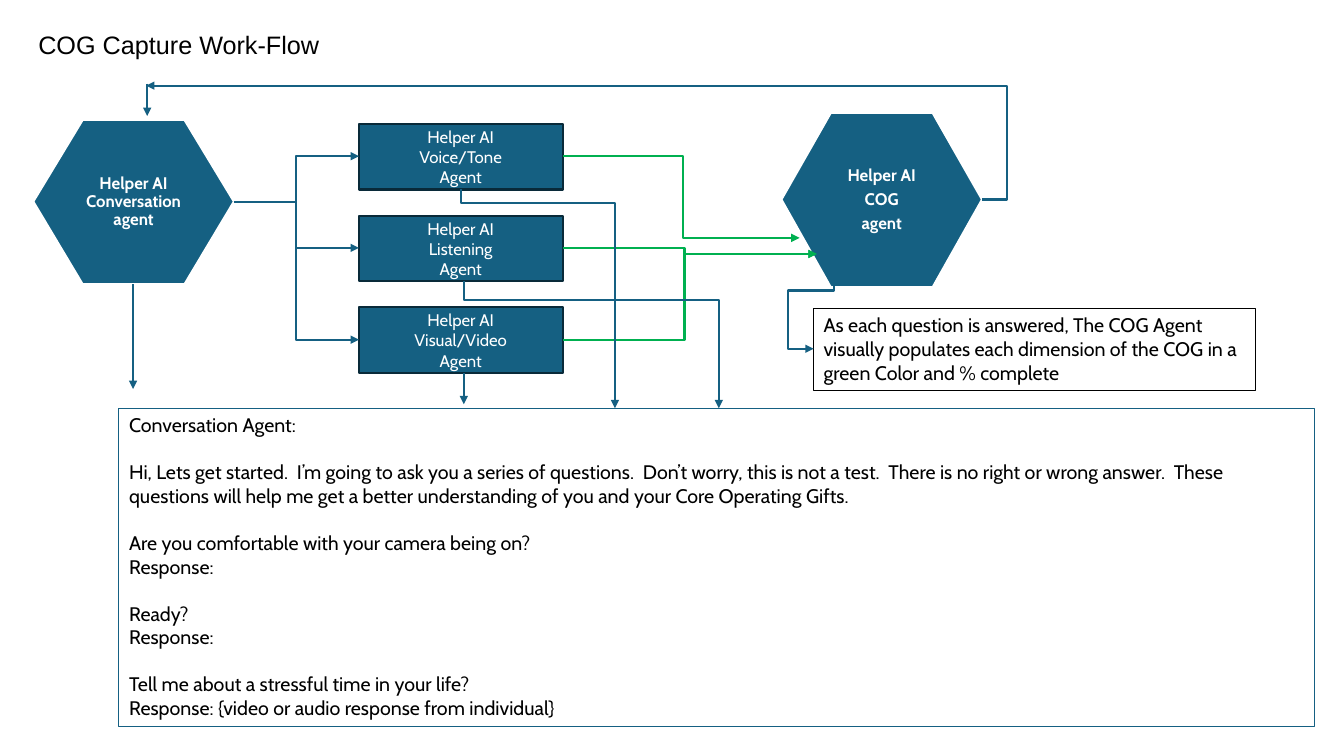
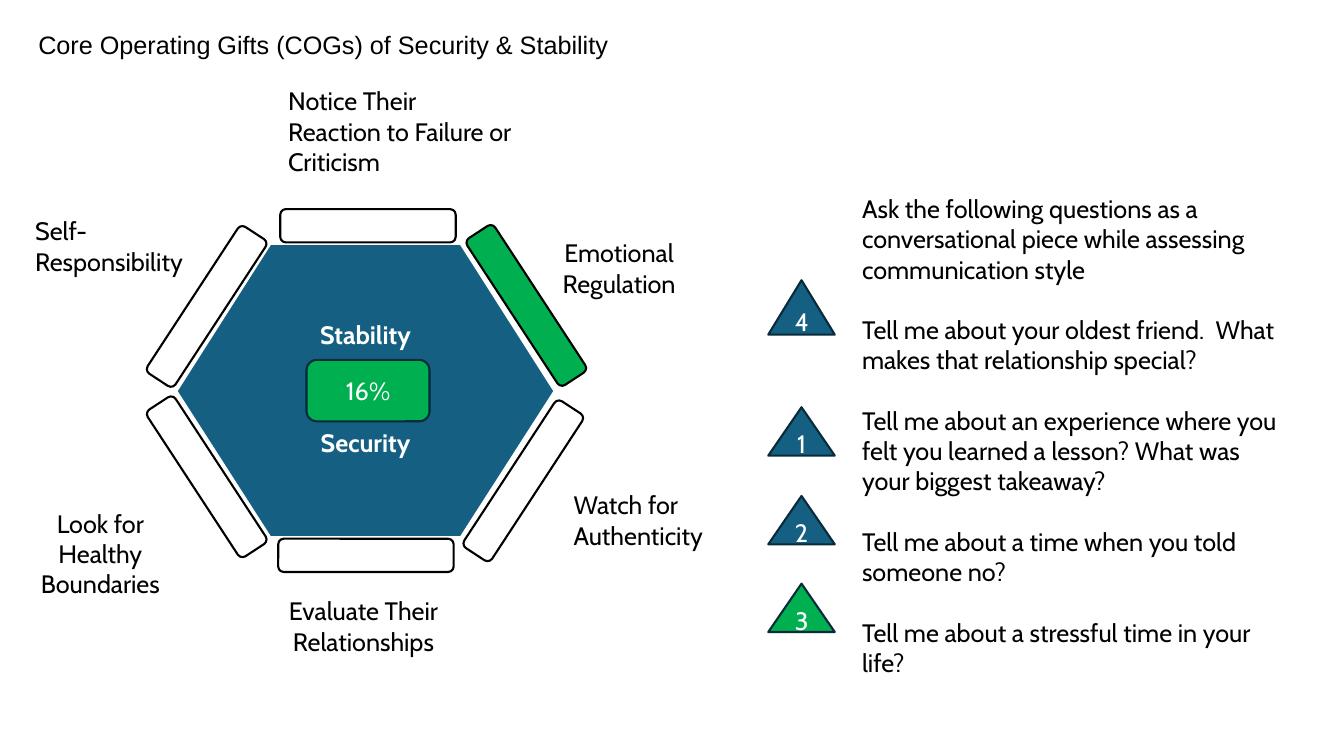
from dataclasses import dataclass
from typing import Any, Optional

import pptx
import pptx.dml.color
import pptx.enum.shapes
import pptx.enum.text
import pptx.oxml.ns
import pptx.util
from lxml import etree

RGBColor = pptx.dml.color.RGBColor
Preset = pptx.enum.shapes.MSO_SHAPE
Connector = pptx.enum.shapes.MSO_CONNECTOR
Align = pptx.enum.text.PP_ALIGN
Anchor = pptx.enum.text.MSO_ANCHOR
Pt = pptx.util.Pt
qn = pptx.oxml.ns.qn

BLUE = RGBColor(0x15, 0x60, 0x82)
NAVY = RGBColor(0x09, 0x2A, 0x39)
GREEN = RGBColor(0x00, 0xB0, 0x50)
BLACK = RGBColor(0x00, 0x00, 0x00)
WHITE = RGBColor(0xFF, 0xFF, 0xFF)

EMU_PER_PX = 9144
SLIDE_SIZE = (1333, 750)
TITLE_BOX = (28, 24, 1206, 40)
Box = tuple[int, int, int, int]
Point = tuple[int, int]


@dataclass(frozen=True)
class TextStyle:
    size: int
    color: RGBColor = BLACK
    name: str = "Cabin"
    bold: bool = False
    align: Any = Align.LEFT
    anchor: Any = Anchor.TOP
    line_spacing: float = 1.0
    inset: Point = (10, 5)


@dataclass(frozen=True)
class Line:
    text: str
    space_before: float = 0


@dataclass(frozen=True)
class Arrow:
    start: Point
    end: Point
    color: RGBColor = BLUE
    bends: tuple[float, ...] = ()
    leaves_down: bool = False


@dataclass(frozen=True)
class Label:
    text: str
    box: Box
    align: Any = Align.LEFT


@dataclass(frozen=True)
class Bar:
    center: Point
    angle: float = 0
    fill: Optional[RGBColor] = None


@dataclass(frozen=True)
class Marker:
    text: str
    top: int
    height: int = 48
    fill: RGBColor = BLUE


TITLE = TextStyle(18, name="Arial")
SMALL = TextStyle(14)
LARGE = TextStyle(18)
AGENT = TextStyle(12, WHITE, align=Align.CENTER, anchor=Anchor.MIDDLE)
BADGE = TextStyle(18, WHITE, align=Align.CENTER, anchor=Anchor.MIDDLE)
HEX_FORMAT = {"color": WHITE, "bold": True, "align": Align.CENTER,
              "anchor": Anchor.MIDDLE, "line_spacing": 0.9, "inset": (35, 30)}
HEX_SMALL = TextStyle(12, **HEX_FORMAT)
HEX_LARGE = TextStyle(18, **HEX_FORMAT)


def px(value: float) -> int:
    return round(value * EMU_PER_PX)


def apply(target: Any, values: dict[str, Any]) -> None:
    for name, value in values.items():
        setattr(target, name, value)


def place(shape: Any, box: Box) -> None:
    apply(shape, dict(zip(("left", "top", "width", "height"), map(px, box))))


def write(shape: Any, lines: list[Line], style: TextStyle) -> None:
    frame = shape.text_frame
    across, down = map(px, style.inset)
    apply(frame, {
        "word_wrap": True, "auto_size": pptx.enum.text.MSO_AUTO_SIZE.NONE,
        "vertical_anchor": style.anchor, "margin_left": across,
        "margin_right": across, "margin_top": down, "margin_bottom": down,
    })
    for index, line in enumerate(lines):
        paragraph = frame.add_paragraph() if index else frame.paragraphs[0]
        if shape.is_placeholder:
            properties = paragraph._p.get_or_add_pPr()
            properties.set("marL", "0")
            properties.set("indent", "0")
            etree.SubElement(properties, qn("a:buNone"))
        apply(paragraph, {
            "alignment": style.align, "line_spacing": style.line_spacing,
            "space_before": Pt(line.space_before), "space_after": Pt(0),
        })
        run = paragraph.add_run()
        run.text = line.text
        apply(run.font, {"name": style.name, "size": Pt(style.size), "bold": style.bold})
        run.font.color.rgb = style.color


def paint(shape: Any, fill: Optional[RGBColor], line: RGBColor, width: float = 1.5) -> None:
    if fill is None:
        shape.fill.background()
    else:
        shape.fill.solid()
        shape.fill.fore_color.rgb = fill
    shape.line.color.rgb = line
    shape.line.width = Pt(width)


def add_preset(slide: Any, preset: Any, box: Box, fill: Optional[RGBColor],
               line: RGBColor, width: float = 1.5) -> Any:
    shape = slide.shapes.add_shape(preset, *map(px, box))
    shape.shadow.inherit = False
    paint(shape, fill, line, width)
    return shape


def add_hexagon(slide: Any, box: Box, corner: int, lines: list[Line], style: TextStyle) -> None:
    left, top, width, height = box
    right, bottom, middle = left + width, top + height, top + height / 2
    builder = slide.shapes.build_freeform(left, middle, scale=EMU_PER_PX)
    builder.add_line_segments([
        (left + corner, top), (right - corner, top), (right, middle),
        (right - corner, bottom), (left + corner, bottom),
    ], close=True)
    hexagon = builder.convert_to_shape()
    hexagon.shadow.inherit = False
    paint(hexagon, BLUE, WHITE)
    write(hexagon, lines, style)


def add_arrow(slide: Any, arrow: Arrow) -> None:
    kind = Connector.ELBOW if arrow.bends else Connector.STRAIGHT
    connector = slide.shapes.add_connector(kind, *map(px, arrow.start + arrow.end))
    properties = connector._element.spPr
    if arrow.leaves_down:
        (x1, y1), (x2, y2) = arrow.start, arrow.end
        width, height = abs(y2 - y1), abs(x2 - x1)
        place(connector, ((x1 + x2 - width) / 2, (y1 + y2 - height) / 2, width, height))
        transform = properties.find(qn("a:xfrm"))
        transform.attrib.pop("flipH", None)
        transform.set("rot", str((270 if x2 > x1 else 90) * 60000))
        if x2 > x1:
            transform.set("flipH", "1")
    if arrow.bends:
        geometry = properties.find(qn("a:prstGeom"))
        geometry.set("prst", f"bentConnector{len(arrow.bends) + 2}")
        guides = geometry.find(qn("a:avLst"))
        if guides is None:
            guides = etree.SubElement(geometry, qn("a:avLst"))
        for number, bend in enumerate(arrow.bends, 1):
            etree.SubElement(guides, qn("a:gd"), name=f"adj{number}",
                             fmla=f"val {round(bend * 100000)}")
    connector.line.color.rgb = arrow.color
    connector.line.width = Pt(1.5)
    etree.SubElement(properties.find(qn("a:ln")), qn("a:tailEnd"), type="triangle")
    etree.SubElement(properties, qn("a:effectLst"))


def add_slide(presentation: Any, title: str, body_box: Box,
              body: list[Line], body_style: TextStyle) -> Any:
    slide = presentation.slides.add_slide(presentation.slide_layouts[1])
    place(slide.shapes.title, TITLE_BOX)
    write(slide.shapes.title, [Line(title)], TITLE)
    place(slide.placeholders[1], body_box)
    write(slide.placeholders[1], body, body_style)
    return slide


def build_workflow(presentation: Any) -> None:
    gap = 16.8
    slide = add_slide(presentation, "COG Capture Work-Flow", (118, 405, 1186, 316), [
        Line("Conversation Agent:"),
        Line("Hi, Lets get started.  I’m going to ask you a series of questions.  "
             "Don’t worry, this is not a test.  There is no right or wrong answer.  "
             "These questions will help me get a better understanding of you and your "
             "Core Operating Gifts.", gap),
        Line("Are you comfortable with your camera being on?", gap),
        Line("Response:"),
        Line("Ready?", gap),
        Line("Response:"),
        Line("Tell me about a stressful time in your life?", gap),
        Line("Response: {video or audio response from individual}"),
    ], SMALL)
    paint(slide.placeholders[1], None, BLUE, 0.75)
    add_hexagon(slide, (33, 119, 199, 163), 49,
                [Line("Helper AI Conversation agent")], HEX_SMALL)
    add_hexagon(slide, (775, 112, 199, 173), 49,
                [Line("Helper AI"), Line("COG", 4.5), Line("agent", 4.5)], HEX_SMALL)

    agent_left, agent_width, agent_height = 356, 202, 65
    green_routes = [((793, 236), 0.51), ((810, 252), 0.48), ((810, 252), 0.48)]
    for row, (role, (target, bend)) in enumerate(
            zip(("Voice/Tone", "Listening", "Visual/Video"), green_routes)):
        top = 123 + 91 * row
        middle = top + agent_height // 2
        agent = add_preset(slide, Preset.RECTANGLE,
                           (agent_left, top, agent_width, agent_height), BLUE, NAVY)
        write(agent, [Line("Helper AI"), Line(role), Line("Agent")], AGENT)
        add_arrow(slide, Arrow((232, 200), (agent_left, middle), bends=(0.5,)))
        add_arrow(slide, Arrow((agent_left + agent_width, middle), target, GREEN, (bend,)))

    note = add_preset(slide, Preset.RECTANGLE, (807, 306, 438, 81), None, BLACK, 0.75)
    write(note, [Line("As each question is answered, The COG Agent visually populates each "
                      "dimension of the COG in a green Color and % complete")], SMALL)
    for arrow in (
        Arrow((132, 282), (132, 386)),
        Arrow((460, 370), (460, 401)),
        Arrow((146, 83), (146, 115)),
        Arrow((457, 188), (610, 405), bends=(0.06,), leaves_down=True),
        Arrow((460, 279), (713, 405), bends=(0.15,), leaves_down=True),
        Arrow((827, 271), (807, 346), bends=(0.23, 2.27), leaves_down=True),
        Arrow((974, 198), (145, 85), bends=(-0.03,)),
    ):
        add_arrow(slide, arrow)


def build_gifts(presentation: Any) -> None:
    gap = 21.6
    slide = add_slide(
        presentation, "Core Operating Gifts (COGs) of Security & Stability",
        (845, 187, 442, 495), [
            Line("Ask the following questions as a conversational piece while "
                 "assessing communication style"),
            Line("Tell me about your oldest friend.  What makes that relationship special?", gap),
            Line("Tell me about an experience where you felt you learned a lesson? "
                 "What was your biggest takeaway?", gap),
            Line("Tell me about a time when you told someone no?", gap),
            Line("Tell me about a stressful time in your life?", gap),
        ], LARGE)
    add_hexagon(slide, (175, 242, 375, 291), 93,
                [Line("Stability"), Line("Security", 57.6)], HEX_LARGE)

    for label in (
        Label("Notice Their Reaction to Failure or Criticism", (276, 80, 243, 101)),
        Label("Emotional Regulation", (503, 231, 222, 71), Align.CENTER),
        Label("Watch for Authenticity", (559, 481, 189, 71)),
        Label("Evaluate Their Relationships", (267, 586, 187, 71), Align.CENTER),
        Label("Look for Healthy Boundaries", (5, 499, 189, 101), Align.CENTER),
        Label("Self-Responsibility", (25, 209, 182, 71)),
    ):
        text_box = slide.shapes.add_textbox(*map(px, label.box))
        write(text_box, [Line(label.text)], TextStyle(18, align=label.align))

    bar_width, bar_height = 174, 33
    for bar in (
        Bar((365, 224)), Bar((522, 303), 56.8, GREEN), Bar((519, 477), 303.2),
        Bar((363, 551)), Bar((205, 473), 56.8), Bar((205, 304), 303.2),
    ):
        x, y = bar.center
        box = (x - bar_width / 2, y - bar_height / 2, bar_width, bar_height)
        add_preset(slide, Preset.ROUNDED_RECTANGLE, box, bar.fill, BLACK).rotation = bar.angle

    for marker in (Marker("4", 278, 54), Marker("1", 404), Marker("2", 492),
                   Marker("3", 579, fill=GREEN)):
        triangle = add_preset(slide, Preset.ISOSCELES_TRIANGLE,
                              (762, marker.top, 66, marker.height), marker.fill, NAVY)
        write(triangle, [Line(marker.text)], BADGE)
    percent = add_preset(slide, Preset.ROUNDED_RECTANGLE, (304, 357, 122, 61), GREEN, NAVY)
    write(percent, [Line("16%")], BADGE)


def main() -> None:
    presentation = pptx.Presentation()
    apply(presentation, dict(zip(("slide_width", "slide_height"), map(px, SLIDE_SIZE))))
    build_workflow(presentation)
    build_gifts(presentation)
    presentation.save("out.pptx")


if __name__ == "__main__":
    main()
